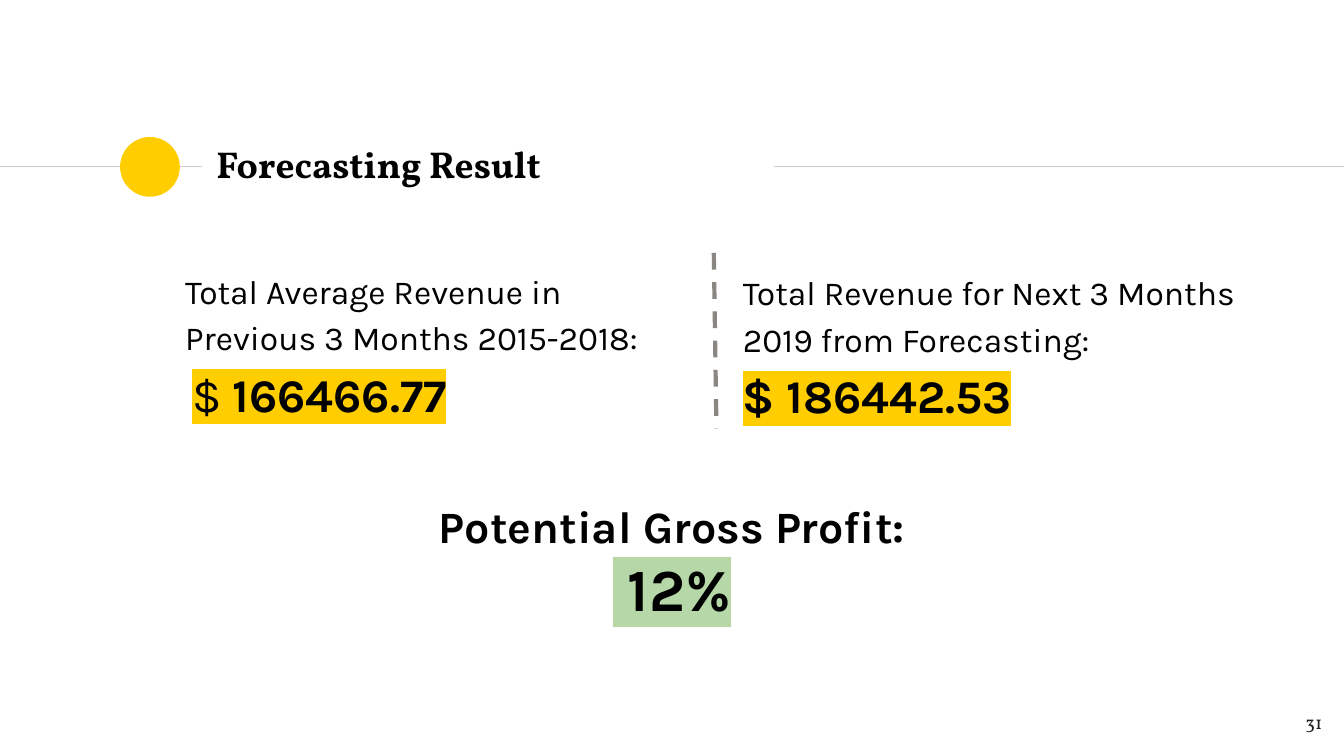
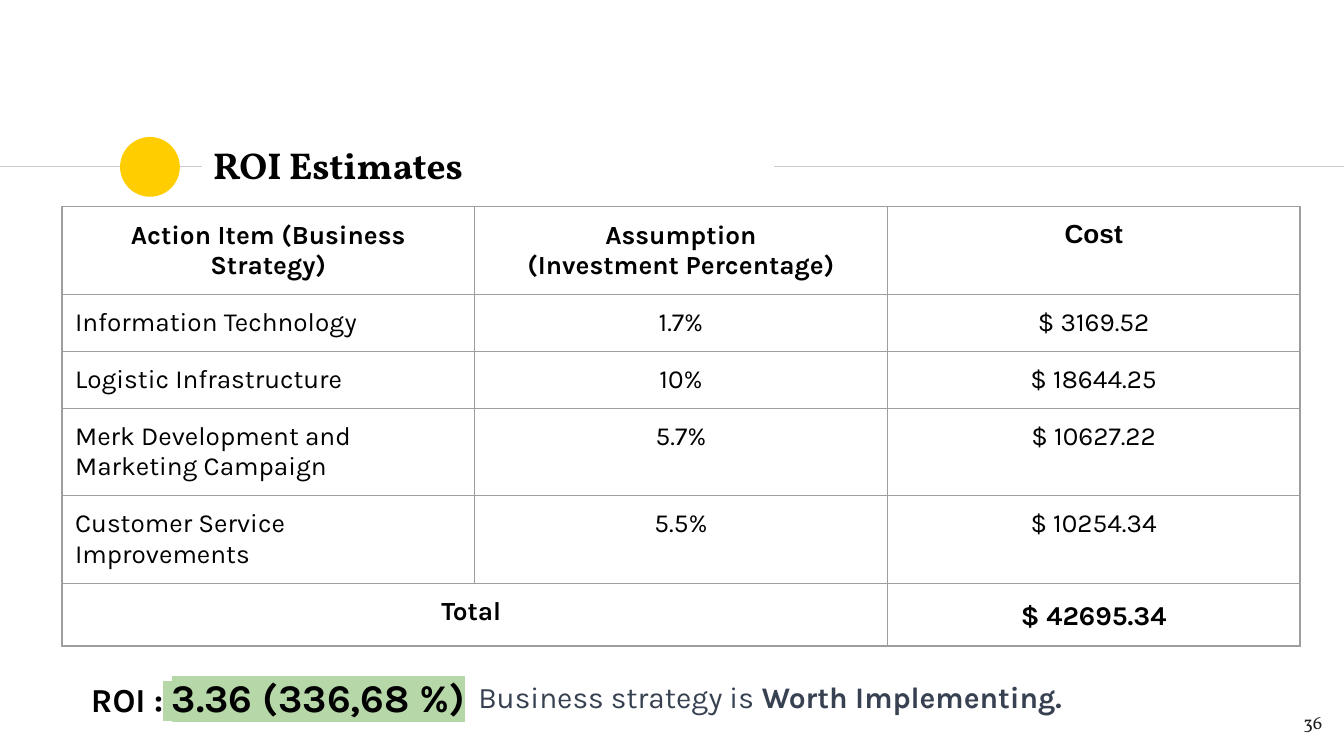
"""Build the forecasting result and ROI estimate slides."""
from dataclasses import dataclass
from typing import Any

from lxml import etree
from pptx import Presentation
from pptx import util as u
from pptx.dml import color
from pptx.enum import dml, shapes, text
from pptx.oxml import ns

HUES = {
    "black": "000000", "white": "FFFFFF", "ink": "1D1D1B", "slate": "374151",
    "gold": "FFCD00", "green": "B6D7A8", "rule": "CCCCCC", "dash": "8A8682",
    "grid": "9E9E9E",
}
HEAD, BODY = "Vollkorn", "Karla"
PAD = u.Cm(0.25)
WIDE, HIGH = 25.4, 14.29
MID = 3.15
LEFT, CENTER, RIGHT = text.PP_ALIGN.LEFT, text.PP_ALIGN.CENTER, text.PP_ALIGN.RIGHT


class Run:
    """Hold words and their format."""

    def __init__(self, words: str, **form: Any) -> None:
        self.words, self.form = words, form


@dataclass
class Box:
    """Describe a block of text, in centimetres."""

    place: tuple[float, float, float, float]
    lines: list[list[Run]]
    align: Any = LEFT
    space: float | None = None
    fill: str | None = None
    edge: str | None = None
    grow: bool = True
    mid: bool = False


@dataclass
class Line:
    """Describe a straight line, in centimetres."""

    start: tuple[float, float]
    end: tuple[float, float]
    hue: str = "rule"
    width: float = 0.75
    dashed: bool = False


RULES = [Line((0, MID), (3.81, MID)), Line((14.63, MID), (WIDE, MID))]
SPLIT = Line((13.49, 4.78), (13.54, 8.1), "dash", 2.25, True)

RESULTS = [
    Box((3.25, 4.75, 9.98, 3.35), [
        [Run("Total Average Revenue in Previous 3 Months 2015-2018:", size=18, mark="white")],
        [Run(" ", size=16, mark="white"), Run("$ ", size=25, mark="gold"),
         Run("166466.77", size=25, bold=True, mark="gold")],
    ], space=1.15, edge="white"),
    Box((13.79, 4.78, 9.98, 3.35), [
        [Run("Total Revenue for Next 3 Months 2019 from Forecasting:", size=18, mark="white"),
         Run(" ", size=16, mark="white")],
        [Run("$ 186442.53", size=25, bold=True, mark="gold")],
    ], space=1.15),
    Box((0, 9.17, WIDE, 2.9), [
        [Run("Potential Gross Profit:", size=24, bold=True, mark="white")],
        [Run(" 12%", size=32, bold=True, mark="green")],
    ], CENTER, edge="white"),
]

RETURNS = [
    Box((1.47, 12.47, 7.72, 1.42), [
        [Run("ROI :", size=18, bold=True, mark="white"),
         Run(" ", size=18, bold=True, mark="green"),
         Run("3.36 (336,68 %)", size=21, bold=True, mark="green")],
    ], fill="white"),
    Box((8.79, 12.57, 13.03, 1.19), [
        [Run("Business strategy is", size=16, ink="slate", mark="white"),
         Run(" Worth Implementing.", size=16, bold=True, ink="slate", mark="white")],
    ]),
]

COSTS = [
    ("Action Item (Business Strategy)", "Assumption\n(Investment Percentage)", "Cost"),
    ("Information Technology", "1.7%", "$ 3169.52"),
    ("Logistic Infrastructure", "10%", "$ 18644.25"),
    ("Merk Development and Marketing Campaign", "5.7%", "$ 10627.22"),
    ("Customer Service Improvements", "5.5%", "$ 10254.34"),
    ("Total ", "", "$ 42695.34"),
]
ROWS = [1.52, 0.99, 0.99, 1.52, 1.52, 0.99]


def tint(name: str) -> color.RGBColor:
    """Return a named colour."""
    return color.RGBColor.from_string(HUES[name])


def add_fill(root: Any, name: str, tag: str = "a:solidFill") -> None:
    """Append a colour element to an XML node."""
    node = etree.SubElement(root, ns.qn(tag))
    etree.SubElement(node, ns.qn("a:srgbClr"), val=HUES[name])


def add_run(para: Any, words: str, *, size: float = 14, bold: bool = False,
            font: str = BODY, ink: str = "black", mark: str | None = None) -> None:
    """Add formatted words to a paragraph."""
    run = para.add_run()
    run.text = words
    run.font.size, run.font.bold = u.Pt(size), bold
    run.font.color.rgb = tint(ink)
    if mark:
        add_fill(run.font._element, mark, "a:highlight")
    run.font.name = font


def write(frame: Any, lines: list[list[Run]], align: Any, space: float | None) -> None:
    """Fill a text frame with lines of runs."""
    for i, line in enumerate(lines):
        para = frame.add_paragraph() if i else frame.paragraphs[0]
        para.alignment = align
        if space:
            para.line_spacing = space
        for run in line:
            add_run(para, run.words, **run.form)


def add_box(slide: Any, box: Box) -> None:
    """Draw a block of text."""
    place = [u.Cm(n) for n in box.place]
    if box.fill or box.edge:
        shape = slide.shapes.add_shape(shapes.MSO_SHAPE.RECTANGLE, *place)
        shape.shadow.inherit = False
    else:
        shape = slide.shapes.add_textbox(*place)
    for paint, hue in ((shape.fill, box.fill), (shape.line.fill, box.edge)):
        if hue:
            paint.solid()
            paint.fore_color.rgb = tint(hue)
        else:
            paint.background()
    if box.edge:
        shape.line.width = u.Pt(0.75)
    frame = shape.text_frame
    frame.word_wrap = True
    frame.margin_left = frame.margin_right = frame.margin_top = frame.margin_bottom = PAD
    frame.vertical_anchor = text.MSO_ANCHOR.MIDDLE if box.mid else text.MSO_ANCHOR.TOP
    size = text.MSO_AUTO_SIZE
    frame.auto_size = size.SHAPE_TO_FIT_TEXT if box.grow else size.NONE
    write(frame, box.lines, box.align, box.space)


def add_line(slide: Any, line: Line) -> None:
    """Draw a straight line."""
    ends = [u.Cm(n) for n in (*line.start, *line.end)]
    link = slide.shapes.add_connector(shapes.MSO_CONNECTOR.STRAIGHT, *ends)
    link.line.color.rgb = tint(line.hue)
    link.line.width = u.Pt(line.width)
    if line.dashed:
        link.line.dash_style = dml.MSO_LINE.DASH
    etree.SubElement(link._element.spPr, ns.qn("a:effectLst"))


def add_page(deck: Any, title: str, left: float, top: float, page: int) -> Any:
    """Add a slide with its rules, dot, title and number."""
    slide = deck.slides.add_slide(deck.slide_layouts[6])
    add_line(slide, RULES[0])
    dot = slide.shapes.add_shape(
        shapes.MSO_SHAPE.OVAL, u.Cm(2.27), u.Cm(2.59), u.Cm(1.13), u.Cm(1.13))
    dot.shadow.inherit = False
    dot.fill.solid()
    dot.fill.fore_color.rgb = tint("gold")
    dot.line.fill.background()
    add_line(slide, RULES[1])
    add_box(slide, Box((left, top, 10.77, 1.22),
                       [[Run(title, size=20, bold=True, font=HEAD)]], grow=False, mid=True))
    add_box(slide, Box((23.72, 13.18, 1.52, 1.09),
                       [[Run(str(page), size=10, font=HEAD, ink="ink")]], RIGHT, grow=False))
    return slide


def add_grid(cell: Any) -> None:
    """Draw the four borders of a cell."""
    props = cell._tc.get_or_add_tcPr()
    for side in "LRTB":
        edge = etree.SubElement(props, ns.qn(f"a:ln{side}"), w=str(u.Pt(0.75)))
        add_fill(edge, "grid")


def add_costs(slide: Any) -> None:
    """Draw the table of costs."""
    last = len(COSTS) - 1
    table = slide.shapes.add_table(
        len(COSTS), 3, u.Cm(1.17), u.Cm(3.91), u.Cm(23.4), u.Cm(sum(ROWS))).table
    table.first_row = table.horz_banding = False
    for col in table.columns:
        col.width = u.Cm(7.8)
    table.cell(last, 0).merge(table.cell(last, 1))
    for r, row in enumerate(COSTS):
        table.rows[r].height = u.Cm(ROWS[r])
        for c, words in enumerate(row):
            cell = table.cell(r, c)
            add_grid(cell)
            cell.fill.background()
            cell.margin_left = cell.margin_right = cell.margin_top = cell.margin_bottom = PAD
            form: dict[str, Any] = {"bold": r in (0, last)}
            total = (r, c) == (last, 2)
            if total:
                form |= {"size": 14.5, "mark": "white"}
            if (r, c) == (0, 2):
                form["font"] = "Arial"
            lines = [[Run(part, **form)] for part in words.split("\n")]
            align = LEFT if c == 0 and 0 < r < last else CENTER
            write(cell.text_frame, lines, align, 1.15 if total else None)


def main() -> None:
    """Build and save the deck."""
    deck = Presentation()
    deck.slide_width, deck.slide_height = u.Cm(WIDE), u.Cm(HIGH)

    slide = add_page(deck, "Forecasting Result", 3.84, 2.49, 31)
    for box in RESULTS[:2]:
        add_box(slide, box)
    add_line(slide, SPLIT)
    add_box(slide, RESULTS[2])

    slide = add_page(deck, "ROI Estimates", 3.78, 2.51, 36)
    add_costs(slide)
    for box in RETURNS:
        add_box(slide, box)

    deck.save("out.pptx")


if __name__ == "__main__":
    main()
